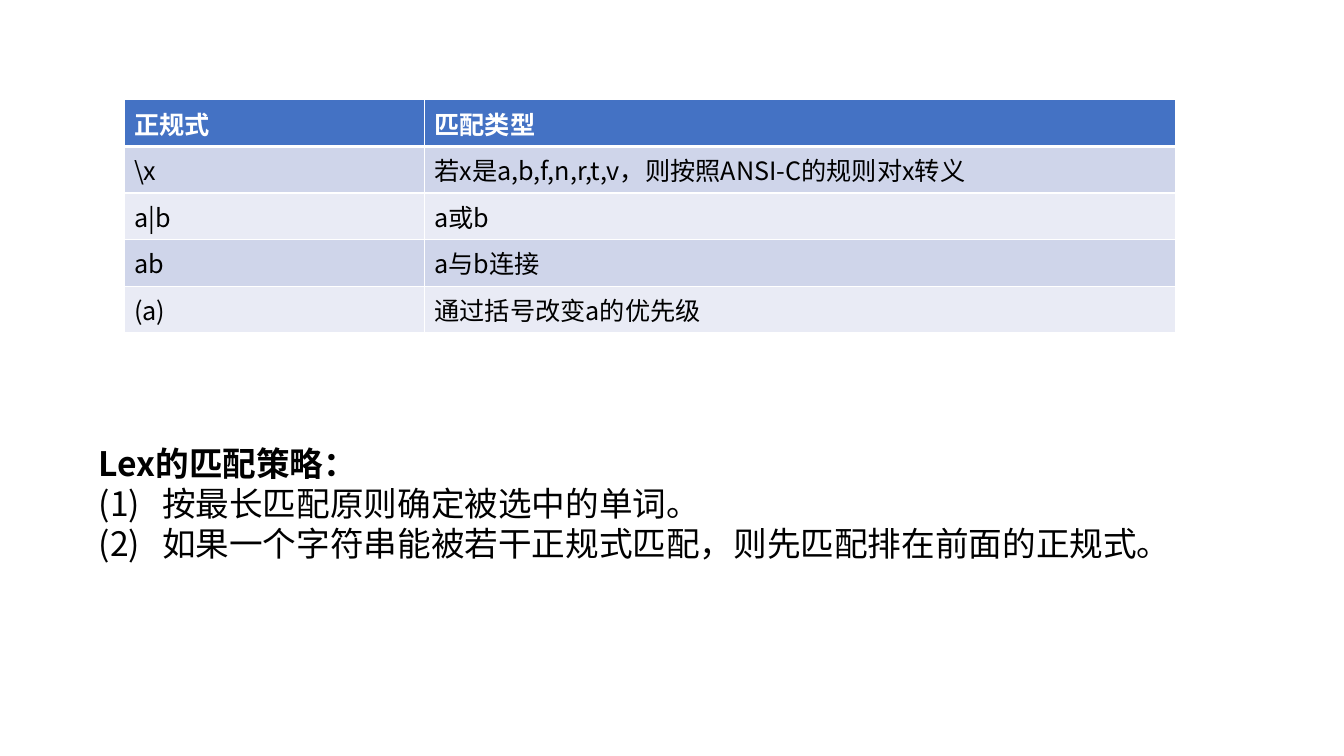
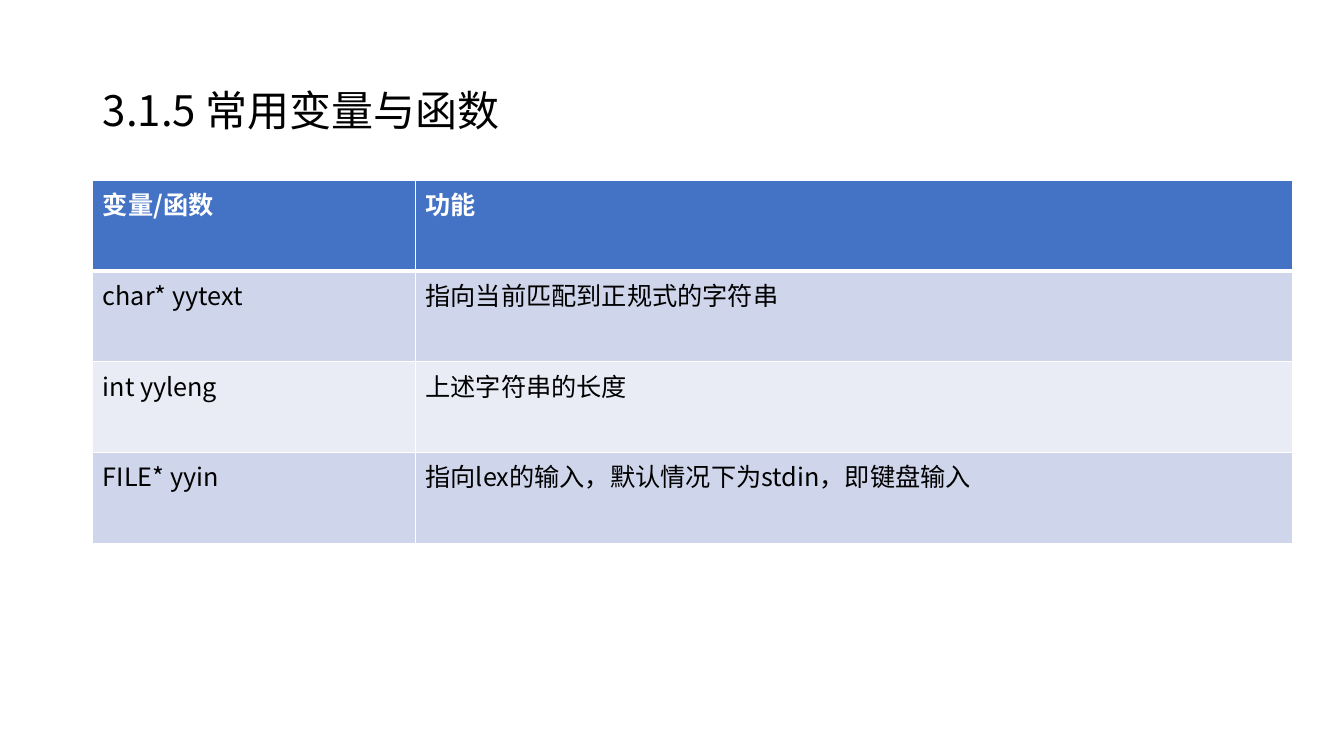
from pptx import Presentation
from pptx.dml.color import RGBColor as RGB
from pptx.enum.text import MSO_ANCHOR as Anchor, PP_ALIGN as Align
from pptx.oxml.ns import qn
from pptx.util import Inches, Pt
from lxml.etree import SubElement as Sub, Element

RULES = [
    ("正规式", "匹配类型"),
    ("\\x", "若x是a,b,f,n,r,t,v，则按照ANSI-C的规则对x转义"),
    ("a|b", "a或b"),
    ("ab", "a与b连接"),
    ("(a)", "通过括号改变a的优先级"),
]
PLAN = "Lex的匹配策略："
STEPS = [
    "按最长匹配原则确定被选中的单词。",
    "如果一个字符串能被若干正规式匹配，则先匹配排在前面的正规式。",
]
TITLE = "3.1.5 常用变量与函数"
NAMES = [
    ("变量/函数", "功能"),
    ("char* yytext", "指向当前匹配到正规式的字符串"),
    ("int yyleng", "上述字符串的长度"),
    ("FILE* yyin", "指向lex的输入，默认情况下为stdin，即键盘输入"),
]

FACE = "Noto Sans CJK SC"
WHITE = RGB(255, 255, 255)
BLACK = RGB(0, 0, 0)
HEAD = RGB(0x44, 0x72, 0xC4)
BANDS = RGB(0xE9, 0xEB, 0xF5), RGB(0xCF, 0xD5, 0xEA)
WIDE, HIGH = 13.33, 7.5
LEFT = 0.92
INDENT = 0.63


def style(par, size, color=BLACK, bold=False):
    """Give a paragraph its font, for Latin and Chinese text alike."""
    font = par.font
    font.name, font.size, font.bold = FACE, Pt(size), bold
    font.color.rgb = color
    latin = par._p.pPr.find(qn("a:defRPr")).find(qn("a:latin"))
    latin.addnext(Element(qn("a:ea"), typeface=FACE))
    for run in par.runs:
        run.font.language_id = None
        props = run._r.get_or_add_rPr()
        Sub(props, qn("a:latin"), typeface=FACE)
        Sub(props, qn("a:ea"), typeface=FACE)
        run.font.size, run.font.bold = Pt(size), bold
        run.font.color.rgb = color


def edge(cell, row):
    """Draw white cell borders, thick under the header row."""
    props = cell._tc.get_or_add_tcPr()
    widths = {"L": 1, "R": 1, "T": 3 if row == 1 else 1,
              "B": 3 if row == 0 else 1}
    for spot, (side, width) in enumerate(widths.items()):
        line = Element(qn(f"a:ln{side}"), w=str(Pt(width)))
        fill = Sub(line, qn("a:solidFill"))
        Sub(fill, qn("a:srgbClr"), val=str(WHITE))
        props.insert(spot, line)


def grid(slide, rows, left, top, cols, high):
    """Add a banded table with a header row of the same height."""
    frame = slide.shapes.add_table(
        len(rows), len(cols), Inches(left), Inches(top),
        Inches(sum(cols)), Inches(high * len(rows)))
    table = frame.table
    for col, width in zip(table.columns, cols):
        col.width = Inches(width)
    for r, texts in enumerate(rows):
        for c, text in enumerate(texts):
            cell = table.cell(r, c)
            cell.text = text
            cell.fill.solid()
            cell.fill.fore_color.rgb = BANDS[r % 2] if r else HEAD
            edge(cell, r)
            style(cell.text_frame.paragraphs[0], 18,
                  BLACK if r else WHITE, r == 0)


def notes(slide, head, steps, box):
    """Add a bold heading over numbered steps with a hanging indent."""
    frame = slide.shapes.add_textbox(*map(Inches, box)).text_frame
    frame.word_wrap = False
    lines = [head] + [f"({n})\t{s}" for n, s in enumerate(steps, 1)]
    frame.text = "\n".join(lines)
    for n, par in enumerate(frame.paragraphs):
        style(par, 24, bold=n == 0)
        if n:
            props = par._p.get_or_add_pPr()
            props.set("marL", str(Inches(INDENT)))
            props.set("indent", str(-Inches(INDENT)))


def title(slide, text):
    """Fill and place the title placeholder."""
    shape = slide.shapes.title
    shape.left, shape.top = Inches(LEFT), Inches(0.4)
    shape.width, shape.height = Inches(WIDE - 2 * LEFT), Inches(1.45)
    frame = shape.text_frame
    frame.text = text
    frame.vertical_anchor = Anchor.MIDDLE
    par = frame.paragraphs[0]
    par.alignment, par.line_spacing = Align.LEFT, 0.9
    style(par, 30)


deck = Presentation()
deck.slide_width, deck.slide_height = Inches(WIDE), Inches(HIGH)
only, blank = deck.slide_layouts[5], deck.slide_layouts[6]

match = deck.slides.add_slide(blank)
grid(match, RULES, 1.23, 0.99, (2.98, 7.45), 0.41)
notes(match, PLAN, STEPS, (0.88, 4.34, 10.92, 1.72))

names = deck.slides.add_slide(only)
title(names, TITLE)
grid(names, NAMES, LEFT, 1.79, (3.2, 8.7), 0.9)

deck.save("out.pptx")
